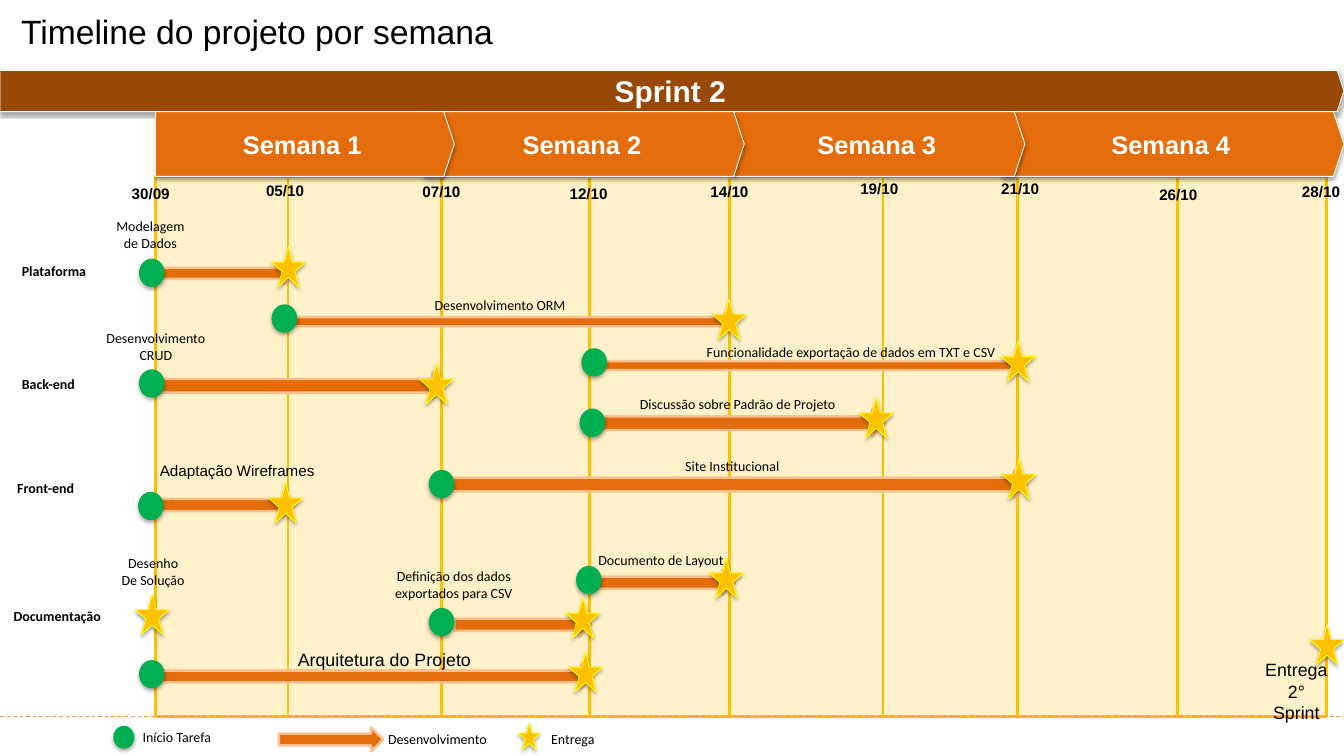
"""Build the Sprint 2 project timeline slide, week by week."""
from lxml import etree
from pptx import Presentation
from pptx.dml.color import RGBColor
from pptx.enum.dml import MSO_LINE
from pptx.enum.shapes import MSO_CONNECTOR, MSO_SHAPE
from pptx.enum.text import MSO_ANCHOR, MSO_AUTO_SIZE, PP_ALIGN
from pptx.oxml.ns import qn
from pptx.util import Inches, Pt

PENTAGON, ARROW = MSO_SHAPE.PENTAGON, MSO_SHAPE.RIGHT_ARROW
OVAL, STAR, RECTANGLE = MSO_SHAPE.OVAL, MSO_SHAPE.STAR_5_POINT, MSO_SHAPE.RECTANGLE
LEFT, CENTER = PP_ALIGN.LEFT, PP_ALIGN.CENTER
TOP, MIDDLE = MSO_ANCHOR.TOP, MSO_ANCHOR.MIDDLE

COLORS = {
    "sprint": "984807", "week": "E46C0A", "bar_edge": "FAC090",
    "gold": "FFC000", "star_edge": "FFFF00", "start": "00B050",
    "baseline": "F79646", "text": "000000", "white": "FFFFFF",
}

SLIDE_WIDTH, SLIDE_HEIGHT = 14.7, 8.27
TITLE = "Timeline do projeto por semana"
SPRINT = "Sprint 2"
WEEKS = [("Semana 4", 10.97, 3.73), ("Semana 3", 8.03, 3.18),
         ("Semana 2", 4.65, 3.49), ("Semana 1", 1.7, 3.27)]
LANE_EDGES = [1.7, 3.15, 4.83, 6.45, 7.98, 9.66, 11.13, 12.88, 14.51]
DATES = [("30/09", 1.29, 1.94), ("05/10", 2.76, 1.91), ("07/10", 4.47, 1.92),
         ("12/10", 6.08, 1.94), ("14/10", 7.62, 1.92), ("19/10", 9.26, 1.89),
         ("21/10", 10.8, 1.89), ("26/10", 12.53, 1.95), ("28/10", 14.09, 1.92)]
AREAS = [("Plataforma", 0.14, 2.82, 0.92), ("Back-end", 0.14, 4.06, 0.79),
         ("Front-end", 0.09, 5.2, 0.83), ("Documentação", 0.05, 6.6, 1.17)]

# (start dot), (bar left, top, width, height), (delivery star)
TASKS = [
    ((1.52, 2.83), (1.73, 2.87, 1.5, 0.24), (2.97, 2.7)),
    ((2.97, 3.33), (3.15, 3.42, 4.88, 0.2), (7.79, 3.27)),
    ((1.52, 4.04), (1.73, 4.07, 3.15, 0.3), (4.59, 3.98)),
    ((6.36, 3.81), (6.53, 3.9, 4.68, 0.2), (10.95, 3.73)),
    ((6.34, 4.47), (6.54, 4.48, 3.15, 0.3), (9.4, 4.35)),
    ((1.51, 5.38), (1.73, 5.39, 1.5, 0.27), (2.94, 5.28)),
    ((4.69, 5.14), (4.9, 5.15, 6.34, 0.3), (10.96, 5.02)),
    ((6.3, 6.19), (6.54, 6.24, 1.5, 0.27), (7.76, 6.1)),
    ((4.69, 6.65), (4.97, 6.7, 1.5, 0.27), (6.19, 6.54)),
    ((1.52, 7.22), (1.73, 7.27, 4.76, 0.26), (6.22, 7.13)),
]
MILESTONES = [(1.48, 6.5), (14.33, 6.83)]
TASK_LABELS = [
    (["Modelagem", "de Dados"], 1.15, 2.33, 0.99),
    (["Desenvolvimento", "CRUD"], 1.06, 3.56, 1.29),
    (["Desenvolvimento ORM"], 4.63, 3.2, 1.68),
    (["Funcionalidade exportação de dados em TXT e CSV"], 7.58, 3.71, 3.46),
    (["Discussão sobre Padrão de Projeto"], 6.34, 4.28, 3.46),
    (["Site Institucional"], 6.28, 4.96, 3.46),
    (["Documento de Layout"], 6.32, 5.98, 1.82),
    (["Definição dos dados", "exportados para CSV"], 4.1, 6.16, 1.73),
    (["Desenho", "De Solução"], 1.23, 6.02, 0.89),
    (["Início Tarefa"], 1.45, 7.92, 0.97),
    (["Desenvolvimento"], 4.14, 7.94, 1.29),
    (["Entrega"], 5.92, 7.94, 0.69),
]
LARGE_LABELS = [
    (["Adaptação Wireframes"], 1.64, 5, 1.91, 12, False),
    (["Arquitetura do Projeto"], 3.15, 7.05, 2.11, 14, False),
    (["Entrega", "2° Sprint"], 13.71, 7.16, 0.94, 14, True),
]

prs = Presentation()
prs.slide_width, prs.slide_height = Inches(SLIDE_WIDTH), Inches(SLIDE_HEIGHT)
slide = prs.slides.add_slide(prs.slide_layouts[5])


def rgb(name):
    return RGBColor.from_string(COLORS[name])


def write(frame, lines, size, font="Calibri", color="text", bold=False, align=CENTER):
    for index, line in enumerate(lines):
        paragraph = frame.paragraphs[0] if index == 0 else frame.add_paragraph()
        paragraph.alignment = align
        run = paragraph.add_run()
        run.text = line
        run.font.size, run.font.name, run.font.bold = Pt(size), font, bold
        run.font.color.rgb = rgb(color)


def add_figure(kind, box, fill, edge=None, edge_width=0.75, shadow=False):
    figure = slide.shapes.add_shape(kind, *map(Inches, box))
    figure.fill.solid()
    figure.fill.fore_color.rgb = rgb(fill)
    if edge:
        figure.line.color.rgb = rgb(edge)
        figure.line.width = Pt(edge_width)
    else:
        figure.line.fill.background()
    figure.shadow.inherit = False
    if shadow:
        effects = figure.element.spPr.find(qn("a:effectLst"))
        outer = etree.SubElement(effects, qn("a:outerShdw"), blurRad=str(Pt(3.1)),
                                 dist=str(Pt(1.8)), dir="5400000", rotWithShape="0")
        black = etree.SubElement(outer, qn("a:srgbClr"), val=COLORS["text"])
        etree.SubElement(black, qn("a:alpha"), val="35000")
    return figure


def add_label(lines, left, top, width, height, size, wrap=False, anchor=TOP, **style):
    frame = slide.shapes.add_textbox(*map(Inches, (left, top, width, height))).text_frame
    frame.word_wrap, frame.vertical_anchor = wrap, anchor
    write(frame, lines, size, **style)
    return frame


def add_banner(caption, box, fill, size):
    banner = add_figure(PENTAGON, box, fill, "white", shadow=True)
    banner.adjustments[0] = 0.164
    banner.text_frame.vertical_anchor = MIDDLE
    write(banner.text_frame, [caption], size, "Arial", "white", True)


def add_bar(box):
    add_figure(ARROW, box, "week", "bar_edge", 2)


def add_start(left, top, width=0.28, height=0.31):
    add_figure(OVAL, (left, top, width, height), "start", shadow=True)


def add_star(left, top, width=0.37, height=0.44):
    add_figure(STAR, (left, top, width, height), "gold", "star_edge", shadow=True)


title = slide.shapes.title
title.left, title.top, title.width, title.height = map(Inches, (0.11, 0.12, 13.27, 0.45))
heading = title.text_frame
heading.auto_size, heading.vertical_anchor = MSO_AUTO_SIZE.NONE, MIDDLE
heading.margin_left = heading.margin_right = Inches(0.12)
heading.margin_top = heading.margin_bottom = 0
write(heading, [TITLE], 26.5, "Arial", align=LEFT)

for start, end in reversed(list(zip(LANE_EDGES, LANE_EDGES[1:]))):
    lane = add_figure(RECTANGLE, (start, 1.93, end - start, 5.91), "gold", "gold", 2)
    tint = lane.element.spPr.find(qn("a:solidFill")).find(qn("a:srgbClr"))
    etree.SubElement(tint, qn("a:alpha"), val="21000")

baseline = slide.shapes.add_connector(
    MSO_CONNECTOR.STRAIGHT, 0, Inches(7.84), Inches(SLIDE_WIDTH), Inches(7.84))
baseline.line.color.rgb = rgb("baseline")
baseline.line.width, baseline.line.dash_style = Pt(0.75), MSO_LINE.DASH
etree.SubElement(baseline.element.spPr, qn("a:effectLst"))

add_banner(SPRINT, (0, 0.77, SLIDE_WIDTH, 0.45), "sprint", 23.5)
for week, left, width in WEEKS:
    add_banner(week, (left, 1.22, width, 0.71), "week", 20)

for date, left, top in DATES:
    date_frame = add_label([date], left, top, 0.73, 0.35, 12, anchor=MIDDLE,
                           font="Arial", bold=True, align=LEFT)
    date_frame.margin_left = date_frame.margin_right = Inches(0.15)
    date_frame.margin_top = date_frame.margin_bottom = Inches(0.07)

for area, left, top, width in AREAS:
    add_label([area], left, top, width, 0.29, 11, bold=True, align=LEFT)

for start_dot, bar, delivery in TASKS:
    add_bar(bar)
    add_start(*start_dot)
    add_star(*delivery)
for milestone in MILESTONES:
    add_star(*milestone)

add_start(1.24, 7.94, 0.23, 0.25)
add_bar((3.05, 7.96, 1.14, 0.26))
add_star(5.67, 7.91, 0.24, 0.29)

for lines, left, top, width in TASK_LABELS:
    add_label(lines, left, top, width, 0.11 + 0.18 * len(lines), 11)
for lines, left, top, width, size, wrap in LARGE_LABELS:
    add_label(lines, left, top, width, 0.1 + 0.23 * len(lines), size, wrap, font="Arial")

prs.save("out.pptx")
